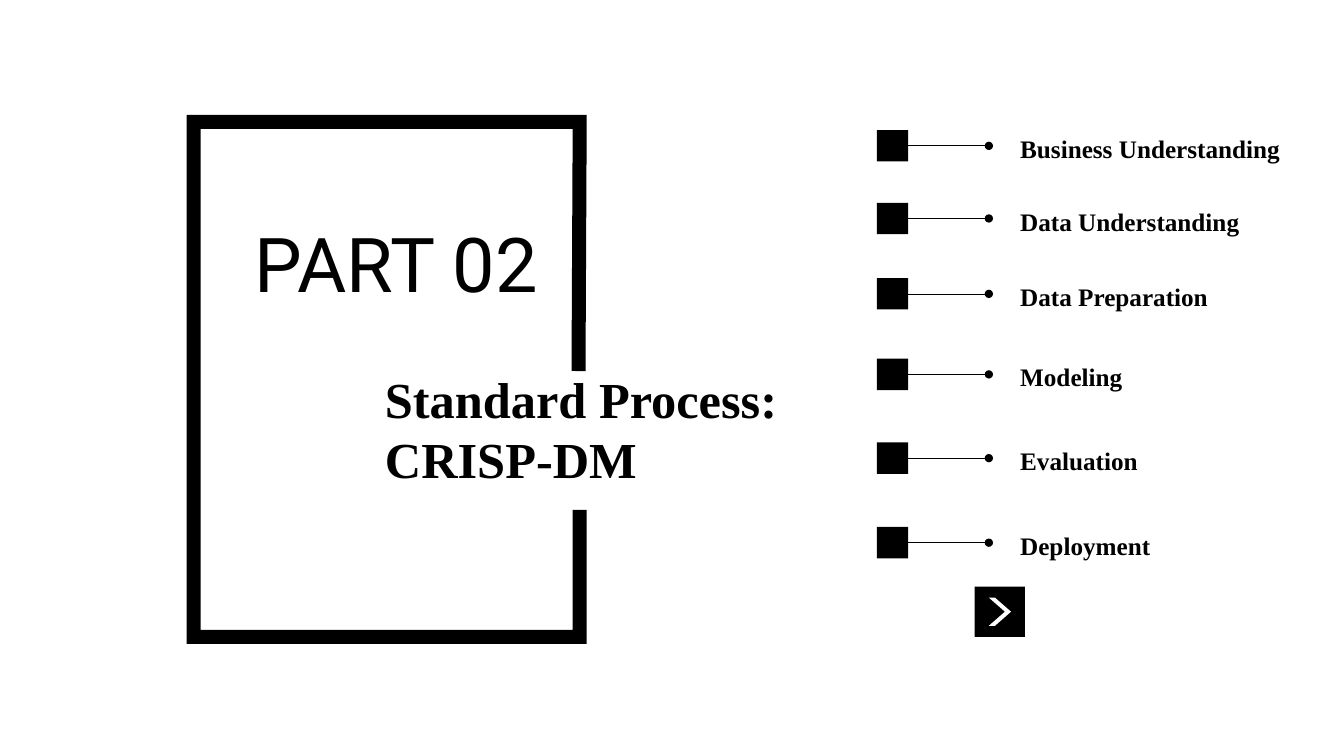
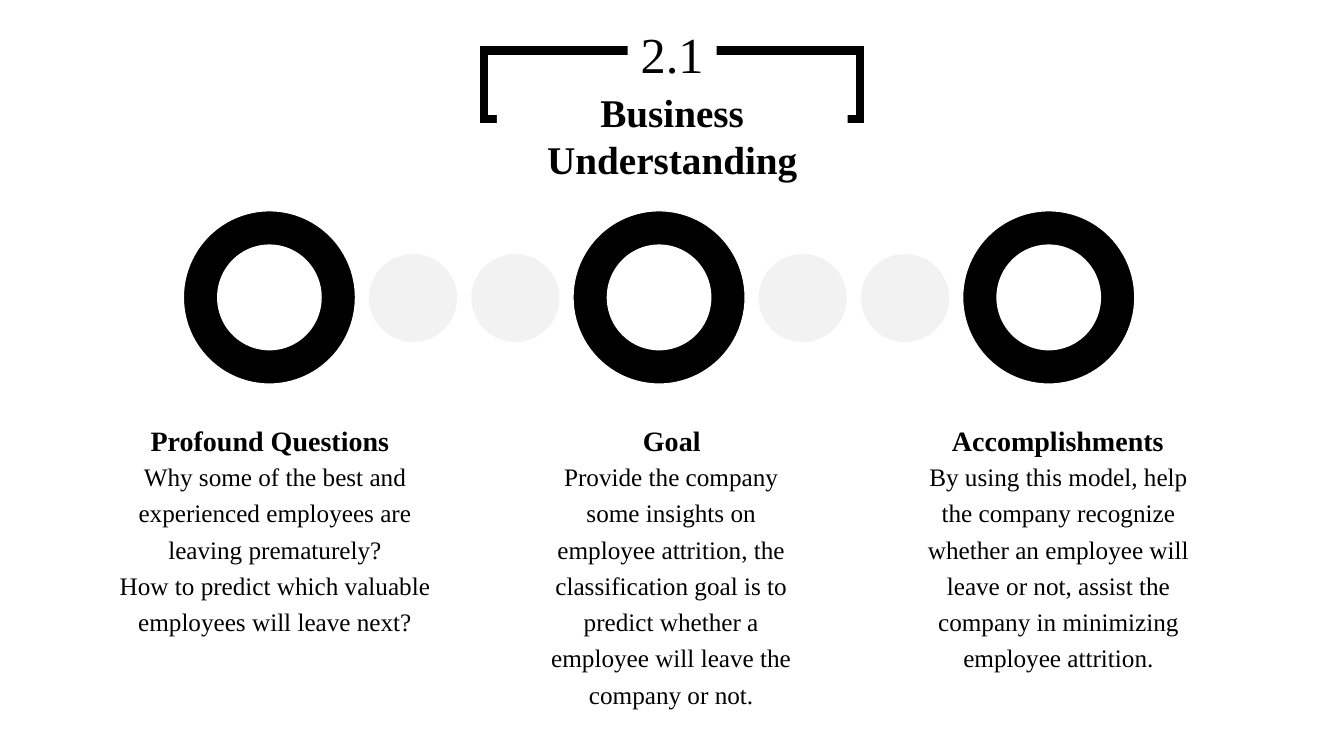
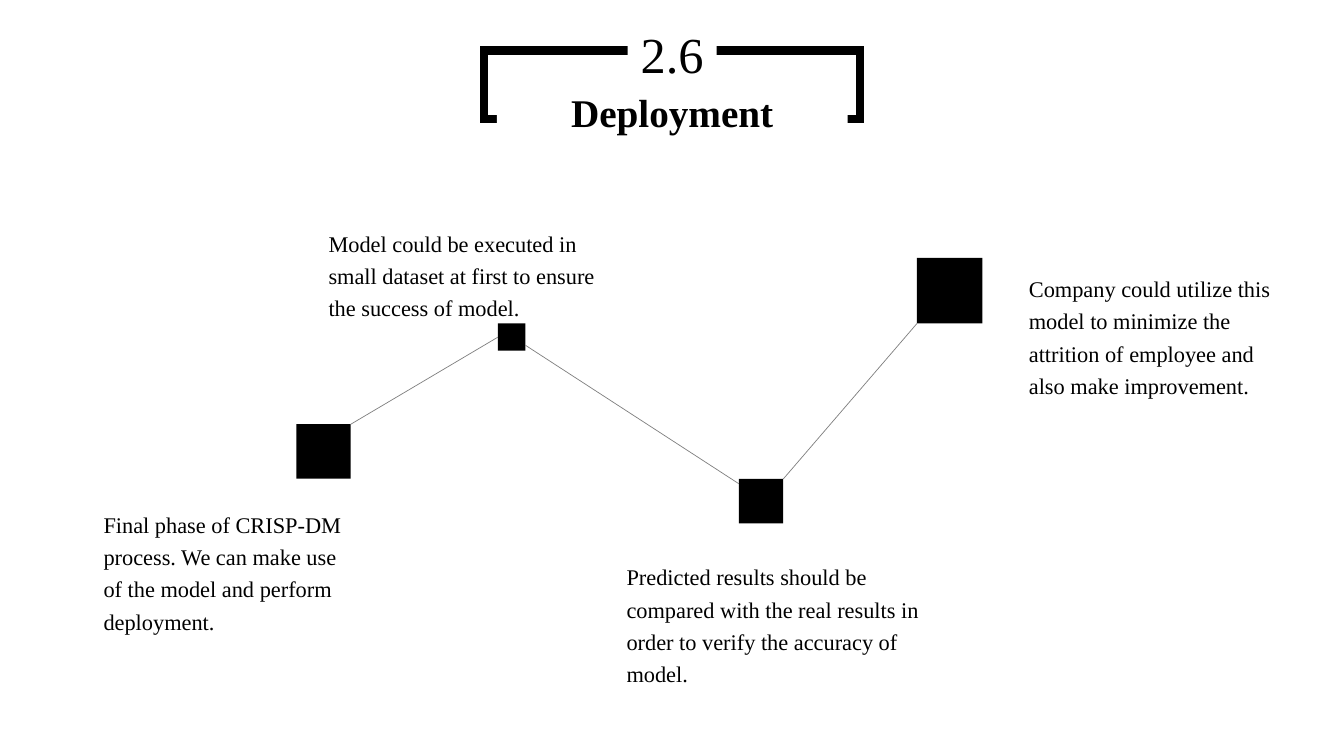
from pptx import Presentation
from pptx import util as u
from pptx.dml import color
from pptx.enum import shapes, text
from pptx.oxml import ns, xmlchemy

SERIF = "Times New Roman"
SANS = "Roboto"
BLACK, WHITE, GRAY, PALE = "000000", "FFFFFF", "808080", "F2F2F2"
LEFT, CENTER = text.PP_ALIGN.LEFT, text.PP_ALIGN.CENTER
RIGHT, JUSTIFY = text.PP_ALIGN.RIGHT, text.PP_ALIGN.JUSTIFY
KIND = shapes.MSO_SHAPE
SIDE_LEFT, SIDE_RIGHT = 1, 3


def rgb(value):
    return color.RGBColor.from_string(value)


def add_child(parent, tag, **attrs):
    child = xmlchemy.OxmlElement(tag)
    for name, value in attrs.items():
        child.set(name, value)
    parent.append(child)


def set_line(line, colour, width):
    line.color.rgb = rgb(colour)
    line.width = u.Pt(width)


def style(sp, fill=None, line=None, width=1):
    sp.shadow.inherit = False
    if fill:
        sp.fill.solid()
        sp.fill.fore_color.rgb = rgb(fill)
    else:
        sp.fill.background()
    if line:
        set_line(sp.line, line, width)
        add_child(sp.line._get_or_add_ln(), "a:miter", lim="800000")
    else:
        sp.line.fill.background()


def add_shape(s, kind, box, fill=None, line=None, width=1, adj=None):
    sp = s.shapes.add_shape(kind, *map(u.Cm, box))
    style(sp, fill, line, width)
    if adj is not None:
        sp.adjustments[0] = adj
    return sp


def add_square(s, x, y, size):
    return add_shape(s, KIND.RECTANGLE, (x, y, size, size), BLACK)


def add_text(s, box, lines, size, bold=False, align=LEFT, spacing=1.0, font=SERIF, fill=None):
    sp = s.shapes.add_textbox(*map(u.Cm, box))
    if fill:
        sp.fill.solid()
        sp.fill.fore_color.rgb = rgb(fill)
    tf = sp.text_frame
    tf.word_wrap = True
    tf.auto_size = text.MSO_AUTO_SIZE.SHAPE_TO_FIT_TEXT
    for i, line in enumerate(lines):
        p = tf.add_paragraph() if i else tf.paragraphs[0]
        p.alignment = align
        p.line_spacing = spacing
        r = p.add_run()
        r.text = line
        r.font.name = font
        r.font.size = u.Pt(size)
        r.font.bold = bold
        r.font.color.rgb = rgb(BLACK)


def add_line(s, start, end, colour, dot=False):
    line = s.shapes.add_connector(shapes.MSO_CONNECTOR.STRAIGHT, *map(u.Cm, start + end))
    set_line(line.line, colour, 0.5)
    if dot:
        add_child(line.line._get_or_add_ln(), "a:headEnd", type="oval")
    add_child(line._element.find(ns.qn("p:spPr")), "a:effectLst")
    return line


def add_header(s, number, title, height):
    add_shape(s, KIND.RECTANGLE, (12.2, 1.27, 9.47, 1.73), line=BLACK, width=6)
    add_text(s, (15.82, 0.46, 2.24, 1.8), [number], 36, align=CENTER, fill=WHITE)
    add_text(s, (12.52, 2.11, 8.84, height), [title], 28, True, CENTER, fill=WHITE)


def add_open_frame(s):
    points = [(14.61, 12.85), (14.61, 16.05), (4.88, 16.05),
              (4.88, 3.07), (14.61, 3.07), (14.58, 9.35)]
    points = [(u.Cm(x), u.Cm(y)) for x, y in points]
    outline = s.shapes.build_freeform(*points[0])
    outline.add_line_segments(points[1:], close=False)
    style(outline.convert_to_shape(), line=BLACK, width=10)


def add_agenda_item(s, y, label):
    size = 0.79
    mid = y + size / 2
    square = add_square(s, 22.1, y, size)
    line = add_line(s, (24.92, mid), (22.1 + size, mid), BLACK, dot=True)
    line.end_connect(square, SIDE_RIGHT)
    add_text(s, (25.46, y - 0.2, 7.29, 1.17), [label], 18, True, spacing=1.2)


def build_part(s):
    add_open_frame(s)
    add_square(s, 24.56, 14.78, 1.27)
    add_shape(s, KIND.CHEVRON, (24.92, 15.06, 0.56, 0.71), WHITE, adj=0.725)
    add_text(s, (9.45, 9.14, 12.75, 3.33), ["Standard Process:", "CRISP-DM"], 36, True)
    add_text(s, (6.17, 5.33, 12.4, 2.57), ["PART 02"], 54, align=JUSTIFY, font=SANS)
    agenda = [
        (3.28, "Business Understanding"),
        (5.11, "Data Understanding"),
        (7.01, "Data Preparation"),
        (9.04, "Modeling"),
        (11.15, "Evaluation"),
        (13.28, "Deployment"),
    ]
    for y, label in agenda:
        add_agenda_item(s, y, label)


def add_ring_chain(s, rings=3, dots=2):
    ring, dot, gap = 4.34, 2.26, 0.32
    x = 4.62
    for i in range(rings):
        add_shape(s, KIND.DONUT, (x, 5.31, ring, 4.37), BLACK, WHITE, adj=0.2)
        x += ring + gap
        if i < rings - 1:
            for _ in range(dots):
                add_shape(s, KIND.OVAL, (x, 6.38, dot, dot), PALE, WHITE)
                x += dot + gap


def build_business(s):
    add_ring_chain(s)
    columns = [
        ("Profound Questions", 2.69, 7.37, RIGHT, 2.69, 8.48, 4.8,
         ["Why some of the best and experienced employees are leaving prematurely?",
          "How to predict which valuable employees will leave next?"]),
        ("Goal", 13.82, 6.22, CENTER, 13.23, 7.37, 6.63,
         ["Provide the company some insights on employee attrition, the classification "
          "goal is to predict whether a employee will leave the company or not."]),
        ("Accomplishments", 23.55, 6.22, CENTER, 22.99, 7.37, 5.72,
         ["By using this model, help the company recognize whether an employee will "
          "leave or not, assist the company in minimizing employee attrition."]),
    ]
    for title, title_x, title_w, align, x, w, h, lines in columns:
        add_text(s, (x, 11.35, w, h), lines, 18, align=CENTER, spacing=1.2)
        add_text(s, (title_x, 10.39, title_w, 1.19), [title], 20, True, align, 1.2)
    add_header(s, "2.1", "Business Understanding", 2.64)


def build_deployment(s):
    add_header(s, "2.6", "Deployment", 1.45)
    squares = [(7.47, 10.69, 1.37), (12.55, 8.15, 0.69),
               (18.62, 12.07, 1.12), (23.11, 6.5, 1.65)]
    steps = [add_square(s, *square) for square in squares]
    rise = add_line(s, (8.84, 10.69), (12.55, 8.49), GRAY)
    rise.end_connect(steps[1], SIDE_LEFT)
    add_line(s, (13.24, 8.7), (18.62, 12.19), GRAY)
    add_line(s, (19.74, 12.07), (23.11, 8.15), GRAY)
    notes = [
        ((2.36, 12.62, 6.81, 3.53),
         "Final phase of CRISP-DM process. We can make use of the model and perform deployment."),
        ((8.03, 5.54, 7.8, 2.72),
         "Model could be executed in small dataset at first to ensure the success of model."),
        ((15.54, 13.94, 8.28, 3.53),
         "Predicted results should be compared with the real results in order to verify "
         "the accuracy of model."),
        ((25.68, 6.68, 6.81, 3.53),
         "Company could utilize this model to minimize the attrition of employee and also "
         "make improvement."),
    ]
    for box, note in notes:
        add_text(s, box, [note], 16, spacing=1.2)


def main():
    prs = Presentation()
    prs.slide_width, prs.slide_height = u.Cm(33.87), u.Cm(19.05)
    for build in (build_part, build_business, build_deployment):
        build(prs.slides.add_slide(prs.slide_layouts[6]))
    prs.save("out.pptx")


if __name__ == "__main__":
    main()
